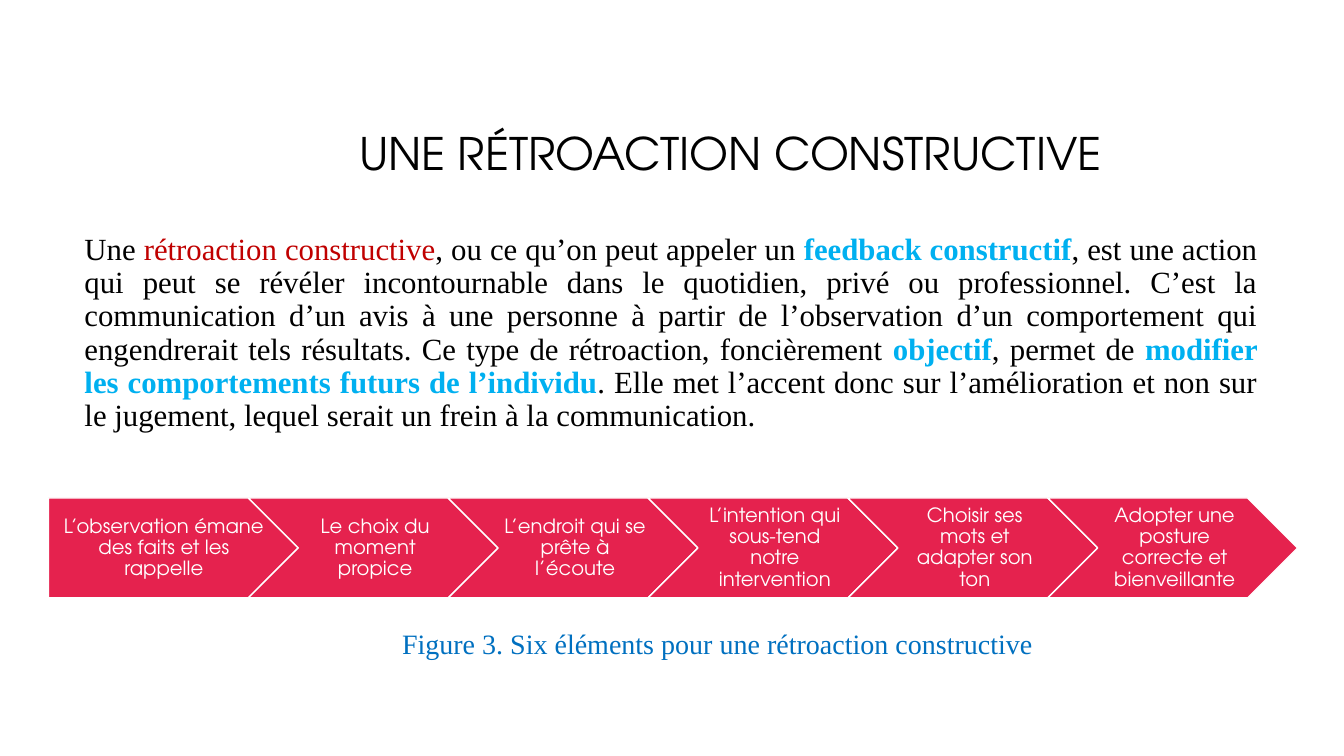
"""Build the slide on constructive feedback and its six elements."""
from pptx import Presentation
from pptx.dml.color import RGBColor
from pptx.enum.shapes import MSO_SHAPE as SHAPE
from pptx.enum.text import MSO_ANCHOR as ANCHOR, PP_ALIGN as ALIGN
from pptx.util import Pt

TITLE = "UNE RÉTROACTION CONSTRUCTIVE"
BODY = [
    ("Une ", "plain"),
    ("rétroaction constructive", "term"),
    (", ou ce qu’on peut appeler un ", "plain"),
    ("feedback constructif", "key"),
    (", est une action qui peut se révéler incontournable dans le quotidien, privé ou "
     "professionnel. C’est la communication d’un avis à une personne à partir de "
     "l’observation d’un comportement qui engendrerait tels résultats. Ce type de "
     "rétroaction, foncièrement ", "plain"),
    ("objectif", "key"),
    (", permet de ", "plain"),
    ("modifier les comportements futurs de l’individu", "key"),
    (". Elle met l’accent donc sur l’amélioration et non sur le jugement, lequel serait "
     "un frein à la communication.", "plain"),
]
ELEMENTS = [
    "L’observation émane des faits et les rappelle",
    "Le choix du moment propice",
    "L’endroit qui se prête à l’écoute",
    "L’intention qui sous-tend notre intervention",
    "Choisir ses mots et adapter son ton",
    "Adopter une posture correcte et bienveillante",
]
CAPTION = "Figure 3. Six éléments pour une rétroaction constructive"

THEME = {
    "plain": "000000", "term": "C00000", "key": "00B0F0",
    "band": "E5224E", "light": "FFFFFF", "caption": "0070C0",
    "sans": "TeX Gyre Adventor", "serif": "Times New Roman",
    "title_size": 32, "body_size": 22, "step_size": 14, "caption_size": 20,
}

BAND_LEFT, BAND_TOP = 34.6, 355.7
STEP_W, STEP_H = 178.45, 71.4
STEP_PITCH = STEP_W * 0.8


def rgb(name):
    """Return a theme colour."""
    return RGBColor.from_string(THEME[name])


def write(sp, runs, font, size, align=ALIGN.CENTER, anchor=ANCHOR.MIDDLE,
          spacing=0.9, insets=(7.2, 3.6, 7.2, 3.6)):
    """Fill a shape with one paragraph of (text, colour) runs."""
    tf = sp.text_frame
    tf.word_wrap = True
    tf.vertical_anchor = anchor
    tf.margin_left, tf.margin_top, tf.margin_right, tf.margin_bottom = map(Pt, insets)
    p = tf.paragraphs[0]
    p.alignment, p.line_spacing = align, spacing
    for text, color in runs:
        r = p.add_run()
        r.text = text
        r.font.name, r.font.size = THEME[font], Pt(THEME[size])
        r.font.bold = color == "key"
        r.font.color.rgb = rgb(color)


def add_text(slide, box, runs, font, size, **fmt):
    """Add a text box at (left, top, width, height)."""
    write(slide.shapes.add_textbox(*map(Pt, box)), runs, font, size, **fmt)


def add_step(slide, i, text):
    """Add one arrow of the band."""
    kind, inset = (SHAPE.CHEVRON, 4.4) if i else (SHAPE.PENTAGON, 5.9)
    box = BAND_LEFT + i * STEP_PITCH, BAND_TOP, STEP_W, STEP_H
    sp = slide.shapes.add_shape(kind, *map(Pt, box))
    sp.shadow.inherit = False
    sp.fill.solid()
    sp.fill.fore_color.rgb = rgb("band")
    sp.line.color.rgb = rgb("light")
    sp.line.width = Pt(1)
    write(sp, [(text, "light")], "sans", "step_size", insets=(inset, 2.9, 1.5, 2.9))


def main():
    """Compose and save the slide."""
    prs = Presentation()
    prs.slide_width, prs.slide_height = Pt(960), Pt(540)
    slide = prs.slides.add_slide(prs.slide_layouts[6])
    add_text(slide, (138.2, 60.5, 767.5, 101.5), [(TITLE, "plain")], "sans", "title_size")
    add_text(slide, (53.3, 163.4, 851.8, 180), BODY, "serif", "body_size",
             align=ALIGN.JUSTIFY, anchor=ANCHOR.TOP)
    for i, text in enumerate(ELEMENTS):
        add_step(slide, i, text)
    add_text(slide, (280.1, 444.2, 478.1, 31.7), [(CAPTION, "caption")], "serif",
             "caption_size", align=ALIGN.LEFT, anchor=ANCHOR.TOP, spacing=1.0)
    prs.save("out.pptx")


if __name__ == "__main__":
    main()
